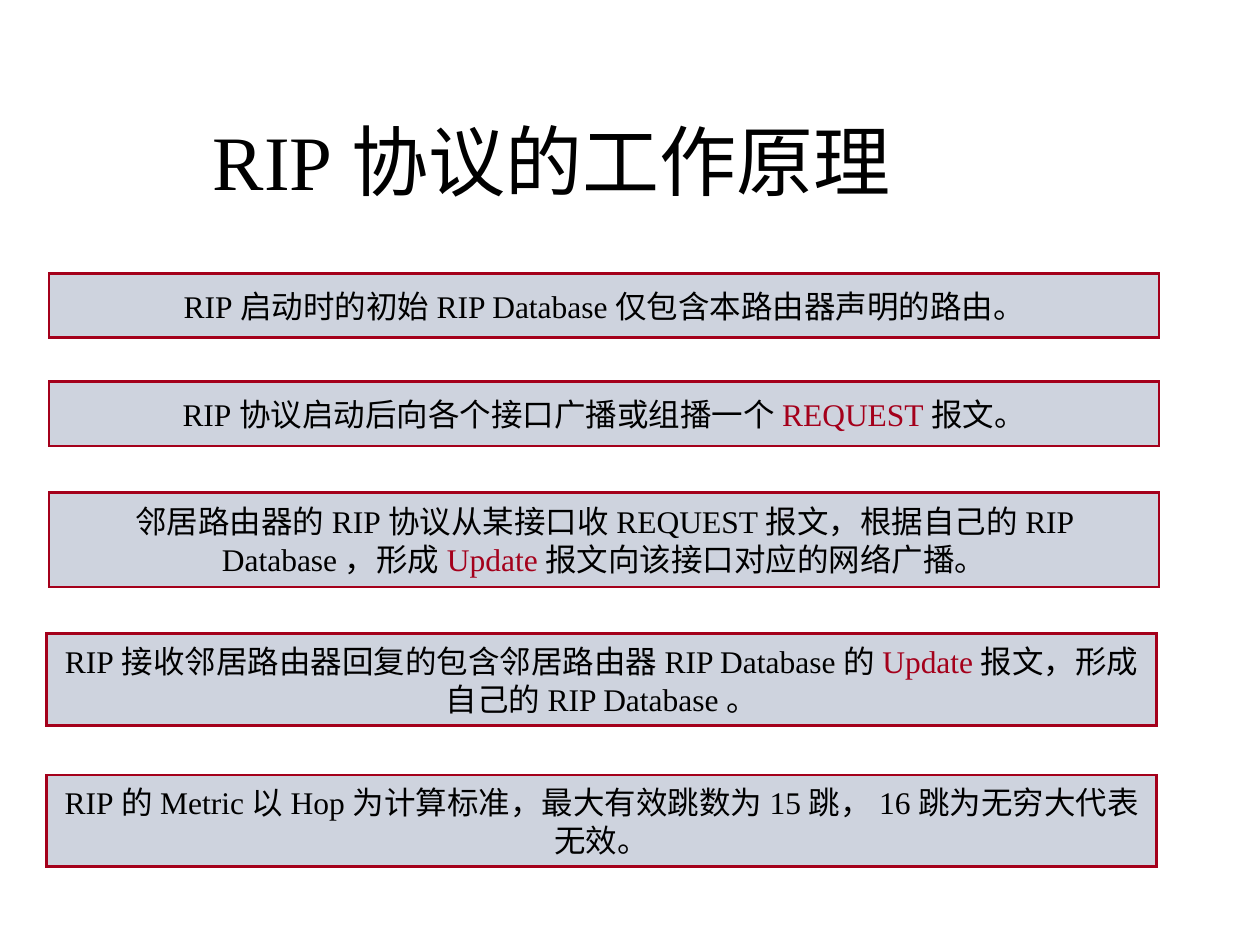
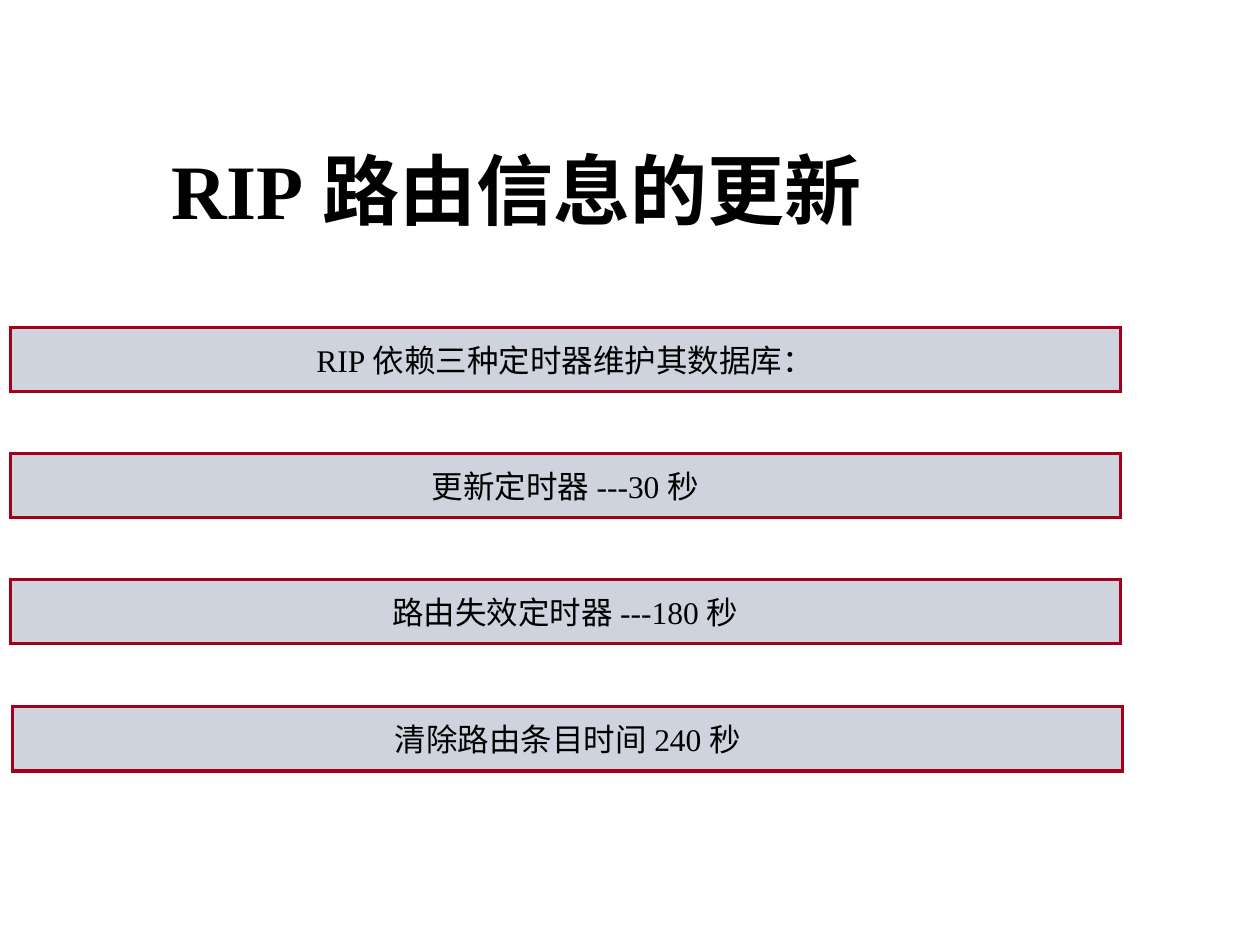
from lxml import etree
from pptx import Presentation
from pptx import util as u
from pptx.dml.color import RGBColor
from pptx.enum import shapes, text
from pptx.oxml import ns

INK = RGBColor(0x00, 0x00, 0x00)
RED = RGBColor(0xA4, 0x00, 0x1B)
PANEL = RGBColor(0xCE, 0xD3, 0xDE)
FONT = "Times New Roman"
TITLE_ONLY = 5


def write(frame, parts, size=18, bold=False):
    """Write one centred paragraph; every second part is highlighted."""
    frame.word_wrap = True
    frame.auto_size = text.MSO_AUTO_SIZE.NONE
    frame.vertical_anchor = text.MSO_ANCHOR.MIDDLE
    para = frame.paragraphs[0]
    para.alignment = text.PP_ALIGN.CENTER
    for index, part in enumerate(parts):
        span = para.add_run()
        span.text = part
        span.font.name = FONT
        span.font.size = u.Pt(size)
        span.font.bold = bold
        span.font.color.rgb = RED if index % 2 else INK


class Deck:
    """Holds the shared style and the current page."""

    def __init__(self):
        self.show = Presentation()
        self.show.slide_width = u.Inches(10)
        self.show.slide_height = u.Inches(7.5)
        self.page = None

    def add_page(self):
        layout = self.show.slide_layouts[TITLE_ONLY]
        self.page = self.show.slides.add_slide(layout)

    def title(self, words, left, top, bold=False):
        title = self.page.shapes.title
        title.left, title.top = u.Inches(left), u.Inches(top)
        title.width, title.height = u.Inches(8.2), u.Inches(0.85)
        write(title.text_frame, [words], size=44, bold=bold)

    def panel(self, parts, left, top, height=0.51, line=1.5):
        box = self.page.shapes.add_shape(
            shapes.MSO_SHAPE.RECTANGLE, u.Inches(left), u.Inches(top),
            u.Inches(8.81), u.Inches(height))
        box.shadow.inherit = False
        box.fill.solid()
        box.fill.fore_color.rgb = PANEL
        box.line.color.rgb = RED
        box.line.width = u.Pt(line)
        # Square corners on the border
        border = box.element.spPr.find(ns.qn("a:ln"))
        etree.SubElement(border, ns.qn("a:miter")).set("lim", "800000")
        write(box.text_frame, parts)


deck = Deck()

# Slide 1: how the protocol works
deck.add_page()
deck.title("RIP协议的工作原理", 0.28, 0.84)
steps = [
    (0.39, 2.17, 0.51, ["RIP启动时的初始RIP Database仅包含本路由器声明的路由。"]),
    (0.39, 3.03, 0.51, ["RIP协议启动后向各个接口广播或组播一个", "REQUEST", "报文。"]),
    (0.39, 3.91, 0.75, ["邻居路由器的RIP协议从某接口收REQUEST报文\uff0c"
                        "根据自己的RIP Database\uff0c形成",
                        "Update", "报文向该接口对应的网络广播。"]),
    (0.37, 5.03, 0.73, ["RIP接收邻居路由器回复的包含邻居路由器RIP Database的",
                        "Update", "报文\uff0c形成自己的RIP Database。"]),
    (0.37, 6.15, 0.73, ["RIP的Metric以Hop为计算标准\uff0c最大有效跳数为15跳\uff0c"
                        "16跳为无穷大代表无效。"]),
]
for left, top, height, parts in steps:
    deck.panel(parts, left, top, height)

# Slide 2: timers that keep the routes up to date
deck.add_page()
deck.title("RIP路由信息的更新", 0, 1.07, bold=True)
timers = [
    (0.08, 2.6, "RIP依赖三种定时器维护其数据库\uff1a"),
    (0.08, 3.6, "更新定时器---30秒"),
    (0.08, 4.6, "路由失效定时器---180秒"),
    (0.1, 5.61, "清除路由条目时间240秒"),
]
for left, top, words in timers:
    deck.panel([words], left, top, line=1.75)

deck.show.save("out.pptx")
